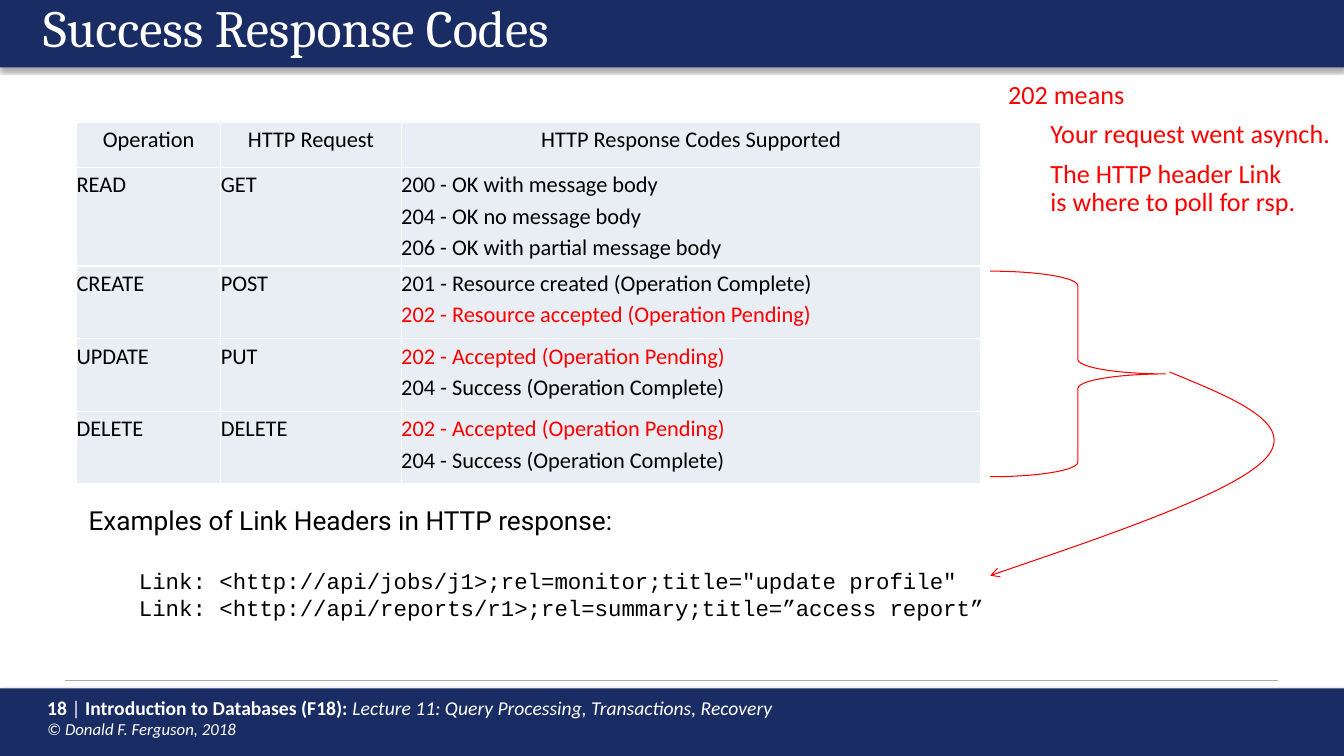
from lxml.etree import SubElement
from pptx import Presentation
from pptx.dml.color import RGBColor
from pptx.enum.shapes import MSO_CONNECTOR as Connector, MSO_SHAPE as Shape
from pptx.enum.text import PP_ALIGN as Align
from pptx.oxml.ns import qn
from pptx.util import Inches, Pt

NAVY, WHITE, BLACK, RED = "1A2C64", "FFFFFF", "000000", "FF0000"
CELL_FILL, RULE = "E9EDF4", "AAAAAA"

CODES = [
    ("Operation", "HTTP Request", ["HTTP Response Codes Supported"]),
    ("READ", "GET", ["200 - OK with message body", "204 - OK no message body",
                     "206 - OK with partial message body"]),
    ("CREATE", "POST", ["201 - Resource created (Operation Complete)",
                        "202 - Resource accepted (Operation Pending)"]),
    ("UPDATE", "PUT", ["202 - Accepted (Operation Pending)",
                       "204 - Success (Operation Complete)"]),
    ("DELETE", "DELETE", ["202 - Accepted (Operation Pending)",
                          "204 - Success (Operation Complete)"]),
]
COLUMN_WIDTHS = [1.43, 1.79, 5.75]
ROW_HEIGHTS = [0.45, 0.98, 0.72, 0.72, 0.72]
LINKS = [
    'Link: <http://api/jobs/j1>;rel=monitor;title="update profile"',
    "Link: <http://api/reports/r1>;rel=summary;title=”access report”",
]


def color(value):
    return RGBColor.from_string(value)


def add_span(para, text, size, font="Calibri", ink=BLACK, bold=False, italic=False):
    span = para.add_run()
    span.text = text
    span.font.size = Pt(size)
    span.font.name = font
    span.font.bold = bold
    span.font.italic = italic
    span.font.color.rgb = color(ink)


def add_text_box(page, left, top, width, height):
    box = page.shapes.add_textbox(Inches(left), Inches(top), Inches(width), Inches(height))
    box.text_frame.word_wrap = True
    return box.text_frame


def add_para(frame, first=False):
    return frame.paragraphs[0] if first else frame.add_paragraph()


def set_indent(para, inches):
    props = para._p.get_or_add_pPr()
    props.set("marL", str(Inches(inches)))
    props.set("indent", "0")


def add_bar(page, top, height):
    bar = page.shapes.add_shape(Shape.RECTANGLE, 0, Inches(top), Inches(13.33), Inches(height))
    bar.fill.solid()
    bar.fill.fore_color.rgb = color(NAVY)
    bar.line.fill.background()
    bar.shadow.inherit = False
    effects = bar._element.spPr.find(qn("a:effectLst"))
    shadow = SubElement(effects, qn("a:outerShdw"), blurRad=str(Pt(3.1)),
                        dist=str(Pt(1.8)), dir="5400000", rotWithShape="0")
    ink = SubElement(shadow, qn("a:srgbClr"), val=BLACK)
    SubElement(ink, qn("a:alpha"), val="35000")


def add_footer(page, top):
    add_bar(page, top, 0.67)
    para = add_text_box(page, 0.37, top + 0.02, 9.89, 0.54).paragraphs[0]
    add_span(para, "18 ", 14, ink=WHITE, bold=True)
    add_span(para, "|", 14, ink=WHITE)
    add_span(para, " Introduction to Databases (F18): ", 14, ink=WHITE, bold=True)
    add_span(para, "Lecture 11: Query Processing, Transactions, Recovery", 14,
             ink=WHITE, italic=True)
    para.add_line_break()
    add_span(para, "© Donald F. Ferguson, 2018", 12, ink=WHITE, italic=True)
    rule = page.shapes.add_connector(Connector.STRAIGHT, Inches(0.64), Inches(top - 0.08),
                                     Inches(12.68), Inches(top - 0.08))
    rule.line.color.rgb = color(RULE)
    rule.line.width = Pt(0.75)
    SubElement(rule._element.spPr, qn("a:effectLst"))


def add_header(page, title):
    add_bar(page, 0, 0.67)
    para = add_text_box(page, 0.33, -0.03, 12.07, 0.57).paragraphs[0]
    para.line_spacing = 0.9
    add_span(para, title, 37.3, "Cambria", WHITE)


def style_cell(cell):
    cell.margin_left = cell.margin_right = cell.margin_top = cell.margin_bottom = 0
    props = cell._tc.get_or_add_tcPr()
    for side in ("lnL", "lnR", "lnT", "lnB"):
        edge = SubElement(props, qn(f"a:{side}"), w=str(Pt(1)))
        SubElement(SubElement(edge, qn("a:solidFill")), qn("a:srgbClr"), val=WHITE)
    cell.fill.solid()
    cell.fill.fore_color.rgb = color(CELL_FILL)


def add_code_table(page, left, top):
    table = page.shapes.add_table(len(CODES), len(COLUMN_WIDTHS), Inches(left), Inches(top),
                                  Inches(sum(COLUMN_WIDTHS)), Inches(sum(ROW_HEIGHTS))).table
    table.first_row = table.horz_banding = False
    for column, width in zip(table.columns, COLUMN_WIDTHS):
        column.width = Inches(width)
    for row, height in zip(table.rows, ROW_HEIGHTS):
        row.height = Inches(height)
    for row_index, (operation, request, responses) in enumerate(CODES):
        for column_index, lines in enumerate(([operation], [request], responses)):
            cell = table.cell(row_index, column_index)
            style_cell(cell)
            for index, line in enumerate(lines):
                para = add_para(cell.text_frame, index == 0)
                para.line_spacing = 1.15
                para.alignment = Align.CENTER if row_index == 0 else Align.LEFT
                add_span(para, line, 16, ink=RED if line.startswith("202") else BLACK)


def add_link_examples(page, left, top):
    frame = add_text_box(page, left, top, 9.89, 1.27)
    add_span(frame.paragraphs[0], "Examples of Link Headers in HTTP response:", 18.7, "Roboto")
    for index, link in enumerate(LINKS):
        para = add_para(frame)
        set_indent(para, 0.5)
        para.space_before = Pt(0 if index else 23)
        add_span(para, link, 16, "Courier New")


def add_pending_note(page, left, top):
    frame = add_text_box(page, left, top, 3.4, 1.33)
    frame.margin_right = 0
    notes = [["202 means"], ["Your request went asynch."],
             ["The HTTP header Link", "is where to poll for rsp."]]
    for index, lines in enumerate(notes):
        para = add_para(frame, index == 0)
        if index:
            set_indent(para, 0.42)
            para.space_before = Pt(8)
        para.line_spacing = 0.9
        for line_index, line in enumerate(lines):
            if line_index:
                para.add_line_break()
            add_span(para, line, 18.7, ink=RED)


def style_outline(shape):
    shape.fill.background()
    shape.line.color.rgb = color(RED)
    shape.line.width = Pt(0.75)
    shape.shadow.inherit = False


def add_brace_and_arrow(page, left, top):
    style_outline(page.shapes.add_shape(Shape.RIGHT_BRACE, Inches(left), Inches(top),
                                        Inches(1.74), Inches(2.04)))
    offsets = [(1.78, 1), (2.41, 1.26), (3.04, 1.51), (2.74, 1.85),
               (2.45, 2.18), (1.23, 2.6), (0, 3.02)]
    points = [(Inches(left + x), Inches(top + y)) for x, y in offsets]
    builder = page.shapes.build_freeform(*points[0])
    builder.add_line_segments(points[1:], close=False)
    arrow = builder.convert_to_shape()
    outline = arrow._element.spPr.find(".//" + qn("a:path"))
    segments = outline.findall(qn("a:lnTo"))
    for start in range(0, len(segments), 3):
        curve = SubElement(outline, qn("a:cubicBezTo"))
        for segment in segments[start:start + 3]:
            curve.append(segment[0])
            outline.remove(segment)
    arrow.width = Inches(2.82)
    outline.set("w", str(Inches(2.82)))
    style_outline(arrow)
    SubElement(arrow.line._get_or_add_ln(), qn("a:tailEnd"), type="arrow")


def main():
    deck = Presentation()
    deck.slide_width, deck.slide_height = Inches(13.33), Inches(7.5)
    page = deck.slides.add_slide(deck.slide_layouts[6])
    add_footer(page, 6.83)
    add_header(page, "Success Response Codes")
    add_code_table(page, 0.76, 1.21)
    add_link_examples(page, 0.78, 4.95)
    add_brace_and_arrow(page, 9.82, 2.69)
    add_pending_note(page, 9.9, 0.76)
    deck.save("out.pptx")


if __name__ == "__main__":
    main()
